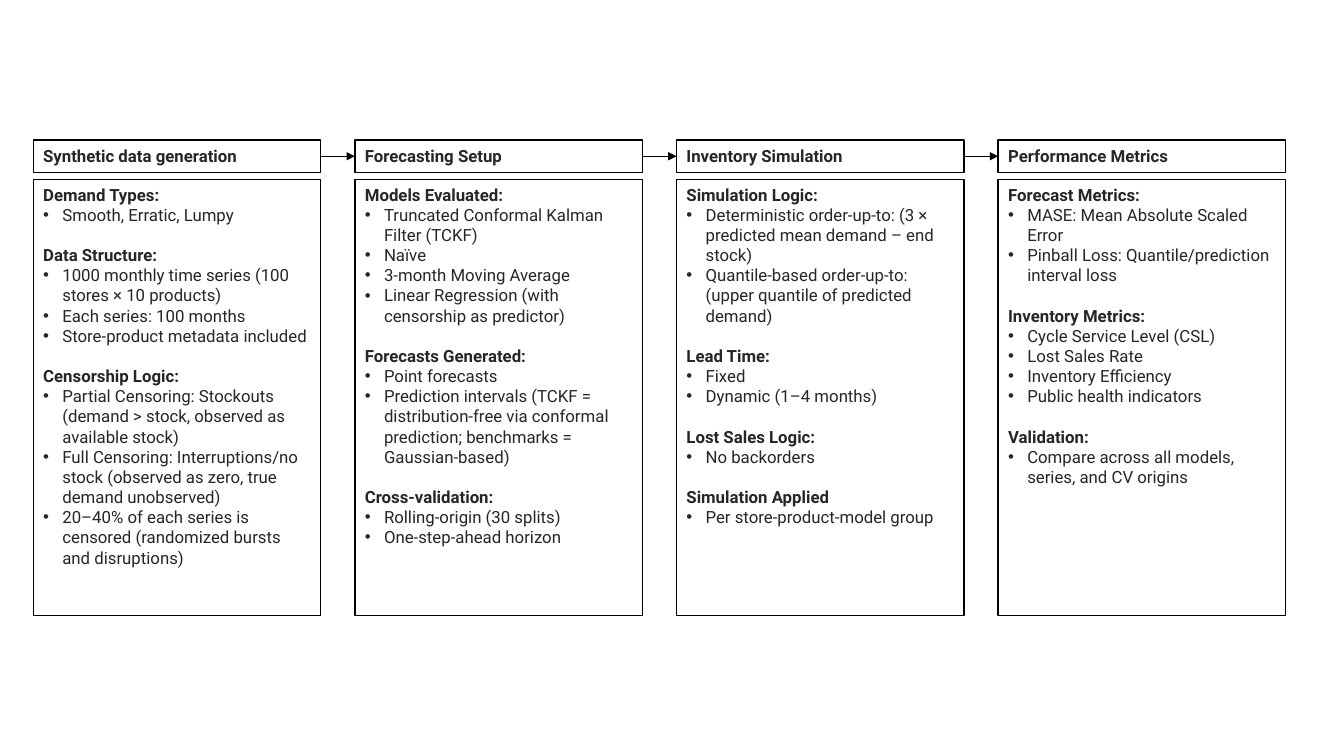
"""Build a four-stage workflow slide for a demand forecasting study."""
from dataclasses import dataclass
from itertools import pairwise

from lxml.etree import SubElement
from pptx import Presentation
from pptx.dml.color import RGBColor
from pptx.enum.shapes import MSO_CONNECTOR as Connector, MSO_SHAPE as Preset
from pptx.enum.text import MSO_ANCHOR as Anchor, PP_ALIGN as Align
from pptx.oxml.ns import qn
from pptx.shapes.autoshape import Shape
from pptx.shapes.shapetree import GroupShapes
from pptx.util import Inches, Pt

FONT, SIZE, SECTION_GAP = "Roboto", 12, 14.4
INK, LINE = "262626", "000000"
COLUMN_LEFT, COLUMN_STEP, COLUMN_WIDTH = 0.33, 3.19, 2.85
HEADER_TOP, HEADER_HEIGHT = 1.39, 0.32
BODY_TOP, BODY_HEIGHT = 1.78, 4.33
BULLET_INDENT = 0.19
RIGHT_SITE, LEFT_SITE = 3, 1


@dataclass(frozen=True)
class Section:
    heading: str
    items: tuple[str, ...]


@dataclass(frozen=True)
class Stage:
    title: str
    sections: tuple[Section, ...]


STAGES = (
    Stage("Synthetic data generation", (
        Section("Demand Types:", ("Smooth, Erratic, Lumpy",)),
        Section("Data Structure:", (
            "1000 monthly time series (100 stores × 10 products)",
            "Each series: 100 months",
            "Store-product metadata included",
        )),
        Section("Censorship Logic:", (
            "Partial Censoring: Stockouts (demand > stock, observed as available stock)",
            "Full Censoring: Interruptions/no stock (observed as zero, true demand unobserved)",
            "20–40% of each series is censored (randomized bursts and disruptions)",
        )),
    )),
    Stage("Forecasting Setup", (
        Section("Models Evaluated:", (
            "Truncated Conformal Kalman Filter (TCKF)",
            "Naïve",
            "3-month Moving Average",
            "Linear Regression (with censorship as predictor)",
        )),
        Section("Forecasts Generated:", (
            "Point forecasts",
            "Prediction intervals (TCKF = distribution-free via conformal prediction; "
            "benchmarks = Gaussian-based)",
        )),
        Section("Cross-validation:", (
            "Rolling-origin (30 splits)",
            "One-step-ahead horizon",
        )),
    )),
    Stage("Inventory Simulation", (
        Section("Simulation Logic:", (
            "Deterministic order-up-to: (3 × predicted mean demand – end stock)",
            "Quantile-based order-up-to: (upper quantile of predicted demand)",
        )),
        Section("Lead Time:", ("Fixed", "Dynamic (1–4 months)")),
        Section("Lost Sales Logic:", ("No backorders",)),
        Section("Simulation Applied", ("Per store-product-model group",)),
    )),
    Stage("Performance Metrics", (
        Section("Forecast Metrics:", (
            "MASE: Mean Absolute Scaled Error",
            "Pinball Loss: Quantile/prediction interval loss",
        )),
        Section("Inventory Metrics:", (
            "Cycle Service Level (CSL)",
            "Lost Sales Rate",
            "Inventory Efficiency",
            "Public health indicators",
        )),
        Section("Validation:", ("Compare across all models, series, and CV origins",)),
    )),
)


def color(value: str) -> RGBColor:
    return RGBColor.from_string(value)


def add_box(shapes: GroupShapes, column: int, top: float, height: float, anchor: Anchor) -> Shape:
    left = COLUMN_LEFT + column * COLUMN_STEP
    box = shapes.add_shape(
        Preset.RECTANGLE, Inches(left), Inches(top), Inches(COLUMN_WIDTH), Inches(height)
    )
    box.shadow.inherit = False
    box.fill.background()
    box.line.color.rgb = color(LINE)
    box.line.width = Pt(1)
    box.text_frame.word_wrap = True
    box.text_frame.vertical_anchor = anchor
    return box


def write_line(box: Shape, text: str, bullet: bool = False, gap: float = 0) -> None:
    frame = box.text_frame
    para = frame.add_paragraph() if frame.text else frame.paragraphs[0]
    para.text = text
    para.alignment = Align.LEFT
    para.space_before = Pt(gap)
    if bullet:
        properties = para._p.get_or_add_pPr()
        properties.set("marL", str(Inches(BULLET_INDENT)))
        properties.set("indent", str(-Inches(BULLET_INDENT)))
        SubElement(properties, qn("a:buFont")).set("typeface", "Arial")
        SubElement(properties, qn("a:buChar")).set("char", "•")
    para.font.name = FONT
    para.font.size = Pt(SIZE)
    para.font.bold = not bullet
    para.font.color.rgb = color(INK)


def add_stage(shapes: GroupShapes, column: int, stage: Stage) -> Shape:
    header = add_box(shapes, column, HEADER_TOP, HEADER_HEIGHT, Anchor.MIDDLE)
    write_line(header, stage.title)
    body = add_box(shapes, column, BODY_TOP, BODY_HEIGHT, Anchor.TOP)
    for index, section in enumerate(stage.sections):
        write_line(body, section.heading, gap=SECTION_GAP if index else 0)
        for item in section.items:
            write_line(body, item, bullet=True)
    return header


def add_arrow(shapes: GroupShapes, source: Shape, target: Shape) -> None:
    arrow = shapes.add_connector(
        Connector.STRAIGHT, source.left, source.top, target.left, target.top
    )
    arrow.begin_connect(source, RIGHT_SITE)
    arrow.end_connect(target, LEFT_SITE)
    arrow.line.color.rgb = color(LINE)
    arrow.line.width = Pt(1)
    SubElement(arrow.line._get_or_add_ln(), qn("a:tailEnd")).set("type", "triangle")
    SubElement(arrow._element.spPr, qn("a:effectLst"))


def main() -> None:
    deck = Presentation()
    deck.slide_width, deck.slide_height = Inches(13.33), Inches(7.5)
    page = deck.slides.add_slide(deck.slide_layouts[6])
    workflow = page.shapes.add_group_shape().shapes
    headers = [add_stage(workflow, column, stage) for column, stage in enumerate(STAGES)]
    for source, target in pairwise(headers):
        add_arrow(workflow, source, target)
    deck.save("out.pptx")


if __name__ == "__main__":
    main()
